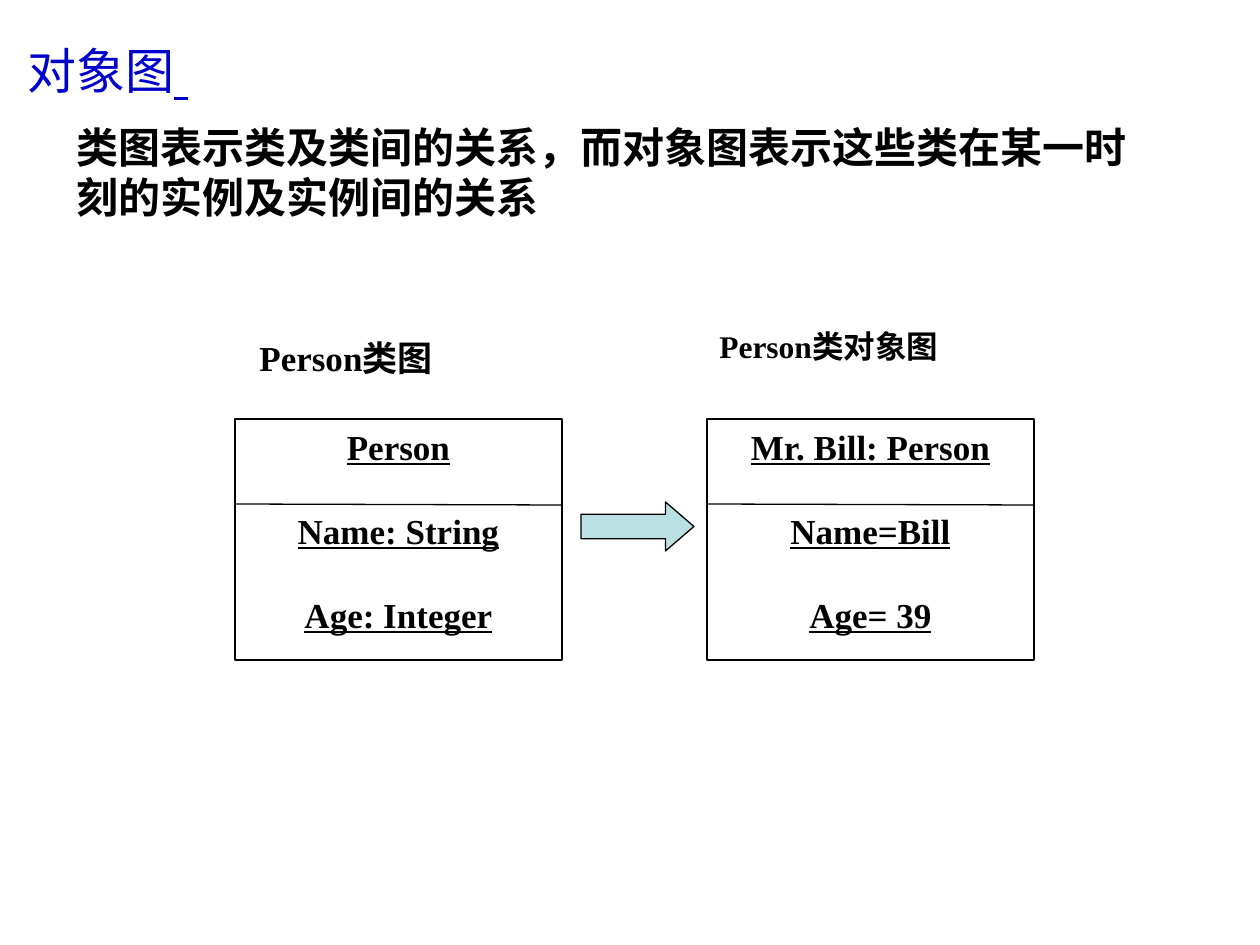
from lxml import etree
from pptx import Presentation, util as u
from pptx.dml.color import RGBColor
from pptx.enum import shapes, text
from pptx.oxml.ns import qn

PX = u.Inches(1) / 126
SERIF, CJK = "Times New Roman", "Noto Sans CJK SC"
BLACK, WHITE, BLUE, PALE = "000000", "FFFFFF", "0000CC", "BBE0E3"


def px(*lengths):
    return [round(length * PX) for length in lengths]


def add_run(paragraph, wording, color=BLACK, **font_values):
    """Append a formatted run, with a fixed font for Chinese characters."""
    run = paragraph.add_run()
    run.text = wording
    run.font.color.rgb = RGBColor.from_string(color)
    for name, value in font_values.items():
        setattr(run.font, name, value)
    etree.SubElement(run.font._element, qn("a:ea")).set("typeface", CJK)


presentation = Presentation()
presentation.slide_width, presentation.slide_height = px(1260, 945)
slide = presentation.slides.add_slide(presentation.slide_layouts[1])

# Title and explanation
title, body = slide.placeholders
for shape, bounds, anchor in (
    (title, (15, 16, 1134, 96), text.MSO_ANCHOR.MIDDLE),
    (body, (64, 115, 1081, 113), text.MSO_ANCHOR.TOP),
):
    shape.left, shape.top, shape.width, shape.height = px(*bounds)
    frame = shape.text_frame
    frame.auto_size = text.MSO_AUTO_SIZE.NONE
    frame.vertical_anchor = anchor
    frame.paragraphs[0].alignment = text.PP_ALIGN.LEFT

heading = title.text_frame.paragraphs[0]
add_run(heading, "对象图", BLUE, name=SERIF, size=u.Pt(28))
add_run(heading, " ", BLUE, name="Arial", size=u.Pt(36), underline=True)

explanation = body.text_frame.paragraphs[0]
explanation.space_before = u.Pt(15)
properties = explanation._p.get_or_add_pPr()
properties.set("marL", "0")
properties.set("indent", "0")
etree.SubElement(properties, qn("a:buNone"))
add_run(explanation, "类图表示类及类间的关系，而对象图表示这些类在某一时刻的实例及实例间的关系",
        name=CJK, size=u.Pt(24), bold=True)

# Class box and object box, each with a divider and a caption
diagrams = (
    (235, ("Person", "Name: String", "Age: Integer"),
     "Person类图", (247, 330, 321, 66), 20),
    (707, ("Mr. Bill: Person", "Name=Bill", "Age= 39"),
     "Person类对象图", (707, 321, 311, 66), 18),
)
for left, rows, caption, caption_bounds, caption_size in diagrams:
    box = slide.shapes.add_shape(shapes.MSO_SHAPE.RECTANGLE, *px(left, 419, 327, 241))
    box.shadow.inherit = False
    box.fill.solid()
    box.fill.fore_color.rgb = RGBColor.from_string(WHITE)
    box.line.color.rgb = RGBColor.from_string(BLACK)
    box.line.width = u.Pt(0.75)
    frame = box.text_frame
    frame.vertical_anchor = text.MSO_ANCHOR.TOP
    for index, row in enumerate(rows):
        paragraph = frame.add_paragraph() if index else frame.paragraphs[0]
        paragraph.alignment = text.PP_ALIGN.CENTER
        paragraph.line_spacing = u.Pt(24)
        paragraph.space_after = u.Pt(24)
        add_run(paragraph, row, name=SERIF, size=u.Pt(20), bold=True, underline=True)

    divider = slide.shapes.add_connector(
        shapes.MSO_CONNECTOR.STRAIGHT, *px(left, 504, left + 327, 505))
    divider.line.color.rgb = RGBColor.from_string(BLACK)
    divider.line.width = u.Pt(0.75)
    etree.SubElement(divider._element.spPr, qn("a:effectLst"))

    label = slide.shapes.add_textbox(*px(*caption_bounds))
    label.text_frame.word_wrap = True
    paragraph = label.text_frame.paragraphs[0]
    paragraph.alignment = text.PP_ALIGN.JUSTIFY
    add_run(paragraph, caption, name=SERIF, size=u.Pt(caption_size), bold=True)

arrow = slide.shapes.add_shape(shapes.MSO_SHAPE.RIGHT_ARROW, *px(581, 502, 113, 49))
arrow.adjustments[1] = 0.58
arrow.shadow.inherit = False
arrow.fill.solid()
arrow.fill.fore_color.rgb = RGBColor.from_string(PALE)
arrow.line.color.rgb = RGBColor.from_string(BLACK)
arrow.line.width = u.Pt(0.75)

presentation.save("out.pptx")
